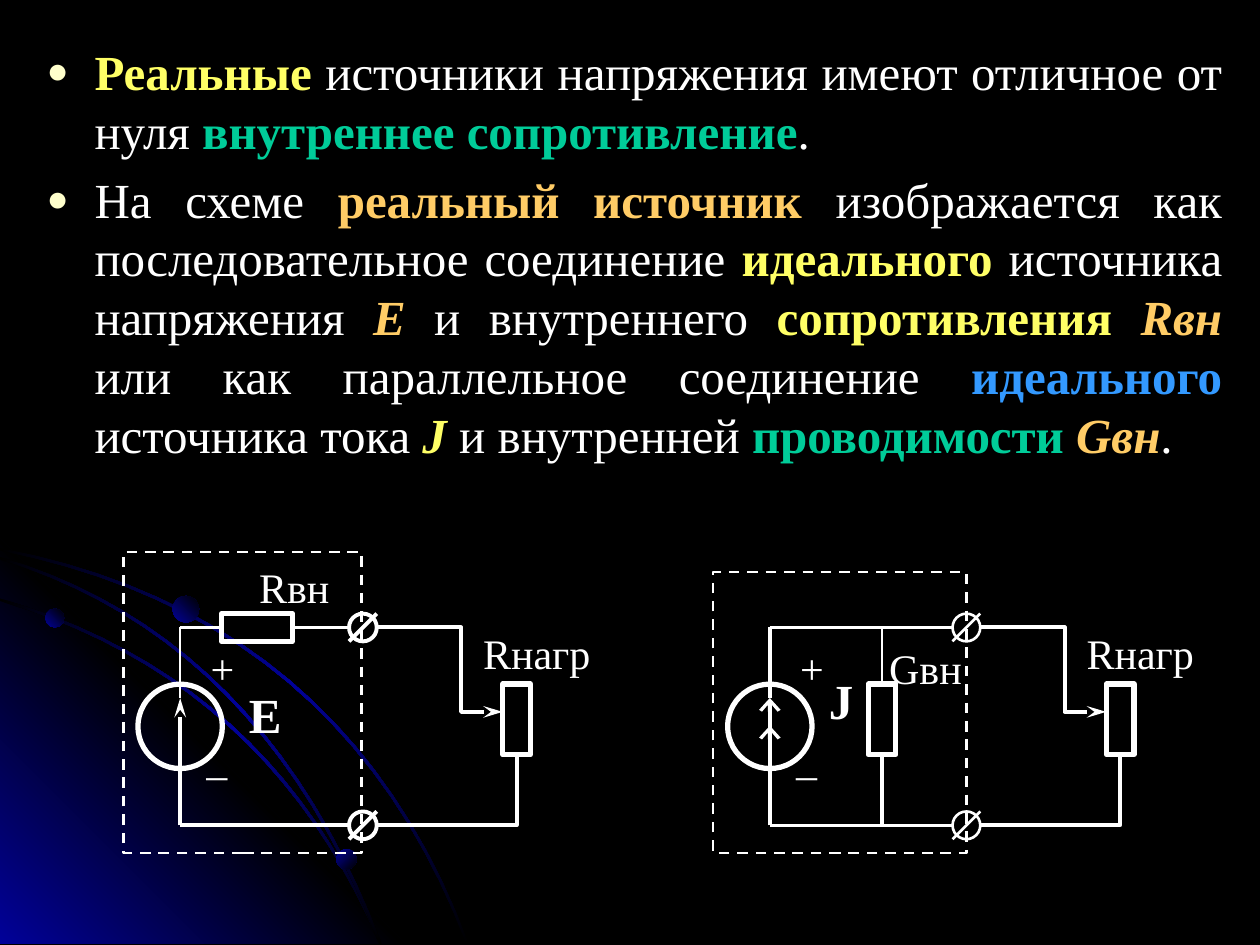
import copy
import lxml.etree
import pptx
import pptx.dml.color
import pptx.enum.dml
import pptx.enum.shapes
import pptx.enum.text
import pptx.oxml.ns
import pptx.util

Inches = pptx.util.Inches
Pt = pptx.util.Pt
RGBColor = pptx.dml.color.RGBColor
Shape = pptx.enum.shapes.MSO_SHAPE
Align = pptx.enum.text.PP_ALIGN
qn = pptx.oxml.ns.qn

BLACK = RGBColor(0x00, 0x00, 0x00)
WHITE = RGBColor(0xFF, 0xFF, 0xFF)
NAVY = RGBColor(0x01, 0x01, 0x99)
CREAM = RGBColor(0xFF, 0xFF, 0xCC)
YELLOW = RGBColor(0xFF, 0xFF, 0x66)
GREEN = RGBColor(0x00, 0xCC, 0x99)
ORANGE = RGBColor(0xFF, 0xCC, 0x66)
BLUE = RGBColor(0x33, 0x99, 0xFF)

THIN, MEDIUM, THICK = 1.5, 2.25, 3
TOP_WIRE, BOTTOM_WIRE = 4.98, 6.55
RESISTOR_TOP, RESISTOR_BOTTOM = 5.43, 5.99
RESISTOR_WIDTH = 0.22
RESISTOR_LENGTH = RESISTOR_BOTTOM - RESISTOR_TOP
TERMINAL = 0.22
SOURCE_SIZE = 0.67
SLIDER = 5.65
ARROW_TIP = 5.54
ARROW_SIZES = {"stealth": {"w": "med", "len": "lg"}, "arrow": {"w": "lg", "len": "med"}}

BULLETS = [
    [("Реальные", YELLOW, "bold"),
     (" источники напряжения имеют отличное от нуля ", WHITE, ""),
     ("внутреннее сопротивление", GREEN, "bold"),
     (". ", WHITE, "")],
    [("На схеме ", WHITE, ""),
     ("реальный источник", ORANGE, "bold"),
     (" изображается как последовательное соединение ", WHITE, ""),
     ("идеального", YELLOW, "bold"),
     (" источника напряжения ", WHITE, ""),
     ("E", ORANGE, "bold italic"),
     (" и внутреннего ", WHITE, ""),
     ("сопротивления ", YELLOW, "bold"),
     ("Rвн", ORANGE, "bold italic"),
     (" или как параллельное соединение ", WHITE, ""),
     ("идеального", BLUE, "bold"),
     (" источника тока ", WHITE, ""),
     ("J ", YELLOW, "bold italic"),
     ("и внутренней ", WHITE, ""),
     ("проводимости ", GREEN, "bold"),
     ("Gвн", ORANGE, "bold italic"),
     (".", WHITE, "")],
]


def curve(start, control, end, steps=20):
    points = []
    for step in range(steps + 1):
        t = step / steps
        points.append(tuple((1 - t) ** 2 * a + 2 * t * (1 - t) * b + t ** 2 * c
                            for a, b, c in zip(start, control, end)))
    return points


class Board:
    font = "Times New Roman"

    def __init__(self, slide):
        self.slide = slide
        self.shapes = slide.shapes

    def format_run(self, run, size, color=WHITE, style=""):
        run.font.name = self.font
        run.font.size = Pt(size)
        run.font.color.rgb = color
        run.font.bold = "bold" in style
        run.font.italic = "italic" in style

    def stroke(self, shape, weight, arrow=None):
        shape.line.color.rgb = WHITE
        shape.line.width = Pt(weight)
        if arrow:
            line = shape.element.spPr.find(qn("a:ln"))
            lxml.etree.SubElement(line, qn("a:tailEnd"), type=arrow, **ARROW_SIZES[arrow])

    def hollow(self, shape, weight, arrow=None):
        shape.shadow.inherit = False
        shape.fill.background()
        self.stroke(shape, weight, arrow)

    def gradient(self, shape, colors, angle):
        shape.shadow.inherit = False
        shape.line.fill.background()
        shape.fill.gradient()
        shape.fill.gradient_angle = 360 - angle
        stop_list = shape.element.spPr.find(".//" + qn("a:gsLst"))
        while len(stop_list) < len(colors):
            stop_list.append(copy.deepcopy(stop_list[0]))
        for index, stop in enumerate(shape.fill.gradient_stops):
            stop.position = index / (len(colors) - 1)
            stop.color.rgb = colors[index]

    def preset(self, kind, left, top, width, height):
        return self.shapes.add_shape(
            kind, Inches(left), Inches(top), Inches(width), Inches(height))

    def freeform(self, points, close):
        corners = [(Inches(x), Inches(y)) for x, y in points]
        builder = self.shapes.build_freeform(*corners[0])
        builder.add_line_segments(corners[1:], close=close)
        return builder.convert_to_shape()

    def orbit(self, start, control, end, width=0.02):
        outer = curve(start, control, end)
        inner = curve((start[0], start[1] + width),
                      (control[0] - width, control[1] + width),
                      (end[0] - width, end[1]))
        self.gradient(self.freeform(outer + inner[::-1], True), [BLACK, NAVY, BLACK], 45)

    def frame(self, left, top, width, height):
        shape = self.preset(Shape.RECTANGLE, left, top, width, height)
        self.hollow(shape, THIN)
        shape.line.dash_style = pptx.enum.dml.MSO_LINE.DASH

    def circle(self, left, top, size, weight):
        self.hollow(self.preset(Shape.OVAL, left, top, size, size), weight)

    def resistor(self, left, top, width, height):
        self.hollow(self.preset(Shape.RECTANGLE, left, top, width, height), THICK)

    def wire(self, points, arrow=None):
        self.hollow(self.freeform(points, False), MEDIUM, arrow)

    def line(self, start, end, weight=MEDIUM, arrow=None):
        connector = self.shapes.add_connector(
            pptx.enum.shapes.MSO_CONNECTOR.STRAIGHT,
            *(Inches(length) for length in start + end))
        self.stroke(connector, weight, arrow)
        lxml.etree.SubElement(connector.element.spPr, qn("a:effectLst"))

    def label(self, text, left, top, width=0.45, height=0.45, size=24, style="",
              align=Align.CENTER, side_margin=0, top_margin=0):
        box = self.shapes.add_textbox(
            Inches(left), Inches(top), Inches(width), Inches(height))
        text_frame = box.text_frame
        text_frame.word_wrap = True
        text_frame.margin_left = text_frame.margin_right = Inches(side_margin)
        text_frame.margin_top = text_frame.margin_bottom = Inches(top_margin)
        text_frame.text = text
        paragraph = text_frame.paragraphs[0]
        paragraph.alignment = align
        self.format_run(paragraph.runs[0], size, style=style)

    def bullet(self, paragraph):
        properties = paragraph._p.get_or_add_pPr()
        properties.set("marL", str(Inches(0.38)))
        properties.set("indent", str(-Inches(0.38)))
        color = lxml.etree.SubElement(properties, qn("a:buClr"))
        lxml.etree.SubElement(color, qn("a:srgbClr"), val=str(CREAM))
        lxml.etree.SubElement(properties, qn("a:buSzPct"), val="75000")
        lxml.etree.SubElement(properties, qn("a:buChar"), char="●")

    def body(self, items):
        body = self.slide.placeholders[1]
        body.left, body.top = Inches(0.27), Inches(0.28)
        body.width, body.height = Inches(9.53), Inches(3.86)
        text_frame = body.text_frame
        text_frame.auto_size = pptx.enum.text.MSO_AUTO_SIZE.NONE
        for index, item in enumerate(items):
            paragraph = text_frame.add_paragraph() if index else text_frame.paragraphs[0]
            paragraph.alignment = Align.JUSTIFY
            paragraph.space_before = Pt(5.6)
            self.bullet(paragraph)
            for text, color, style in item:
                run = paragraph.add_run()
                run.text = text
                self.format_run(run, 28, color, style)

    def source(self, center):
        self.circle(center - SOURCE_SIZE / 2, RESISTOR_TOP, SOURCE_SIZE, THICK)
        self.label("+", center + 0.11, 5.1)
        self.label("–", center + 0.11, 5.88, align=Align.LEFT,
                   side_margin=0.1, top_margin=0.05)

    def terminal(self, left, wire, weight):
        top = wire - TERMINAL / 2
        self.circle(left, top, TERMINAL, weight)
        self.line((left + TERMINAL, top), (left, top + TERMINAL), weight)

    def load(self, left, weight):
        for wire in (TOP_WIRE, BOTTOM_WIRE):
            self.terminal(left, wire, weight)
        start = left + TERMINAL
        bend = start + 0.67
        resistor = start + 1
        center = resistor + RESISTOR_WIDTH / 2
        self.resistor(resistor, RESISTOR_TOP, RESISTOR_WIDTH, RESISTOR_LENGTH)
        self.wire([(start, BOTTOM_WIRE), (center, BOTTOM_WIRE), (center, RESISTOR_BOTTOM)])
        self.wire([(start, TOP_WIRE), (bend, TOP_WIRE), (bend, SLIDER), (resistor, SLIDER)],
                  "stealth")
        self.label("Rнагр", left + 0.97, 4.98, 1.04, 0.34)

    def backdrop(self):
        corner = self.freeform([(3.22, 7.49), (0, 7.49), (0, 4.27)], True)
        self.gradient(corner, [NAVY, BLACK, NAVY], 315)
        self.orbit((0, 4.35), (2.74, 4.88), (3.72, 7.49))
        self.orbit((0, 4.75), (2.15, 5.38), (3.03, 7.49))
        self.orbit((0, 4.42), (2.1, 5.05), (3.03, 7.49))
        for left, top, size, angle in ((0.36, 4.83, 0.15, 315),
                                       (2.67, 6.74, 0.16, 45),
                                       (1.37, 4.73, 0.21, 315)):
            planet = self.preset(Shape.OVAL, left, top, size, size)
            self.gradient(planet, [NAVY, BLACK], angle)

    def voltage_circuit(self, center=1.43, terminal=2.77):
        resistor = center + 0.33
        self.source(center)
        self.load(terminal, MEDIUM)
        self.line((center, BOTTOM_WIRE), (center, ARROW_TIP), arrow="stealth")
        self.line((center, ARROW_TIP), (center, TOP_WIRE), THIN)
        self.line((center, TOP_WIRE), (resistor, TOP_WIRE))
        self.line((resistor + RESISTOR_LENGTH, TOP_WIRE), (terminal, TOP_WIRE))
        self.line((center, BOTTOM_WIRE), (terminal, BOTTOM_WIRE))
        self.resistor(resistor, TOP_WIRE - RESISTOR_WIDTH / 2, RESISTOR_LENGTH, RESISTOR_WIDTH)
        self.label("Rвн", 2.01, 4.46, 0.65, 0.34)
        self.label("Е", 1.88, 5.43, size=28, style="bold")
        self.frame(0.98, 4.38, 1.89, 2.39)

    def current_circuit(self, center=6.11, terminal=7.56, branch=7.0):
        self.source(center)
        self.load(terminal, THIN)
        for start, tip in ((BOTTOM_WIRE, 5.76), (6.21, ARROW_TIP)):
            self.line((center, start), (center, tip), arrow="arrow")
        self.line((center, ARROW_TIP), (center, TOP_WIRE))
        self.line((center, TOP_WIRE), (terminal, TOP_WIRE))
        self.line((center, BOTTOM_WIRE), (terminal, BOTTOM_WIRE), THIN)
        self.line((branch, TOP_WIRE), (branch, RESISTOR_TOP), THIN)
        self.line((branch, RESISTOR_BOTTOM), (branch, BOTTOM_WIRE))
        self.resistor(branch - RESISTOR_WIDTH / 2, RESISTOR_TOP, RESISTOR_WIDTH, RESISTOR_LENGTH)
        self.label("Gвн", 7.01, 5.1, 0.67, 0.34)
        self.label("J", 6.45, 5.32, size=28, style="bold")
        self.frame(5.66, 4.54, 2.01, 2.23)


presentation = pptx.Presentation()
presentation.slide_width, presentation.slide_height = Inches(10), Inches(7.5)
slide = presentation.slides.add_slide(presentation.slide_layouts[1])
slide.background.fill.solid()
slide.background.fill.fore_color.rgb = BLACK
title = slide.shapes.title.element
title.getparent().remove(title)

board = Board(slide)
board.backdrop()
board.body(BULLETS)
board.voltage_circuit()
board.current_circuit()
presentation.save("out.pptx")
